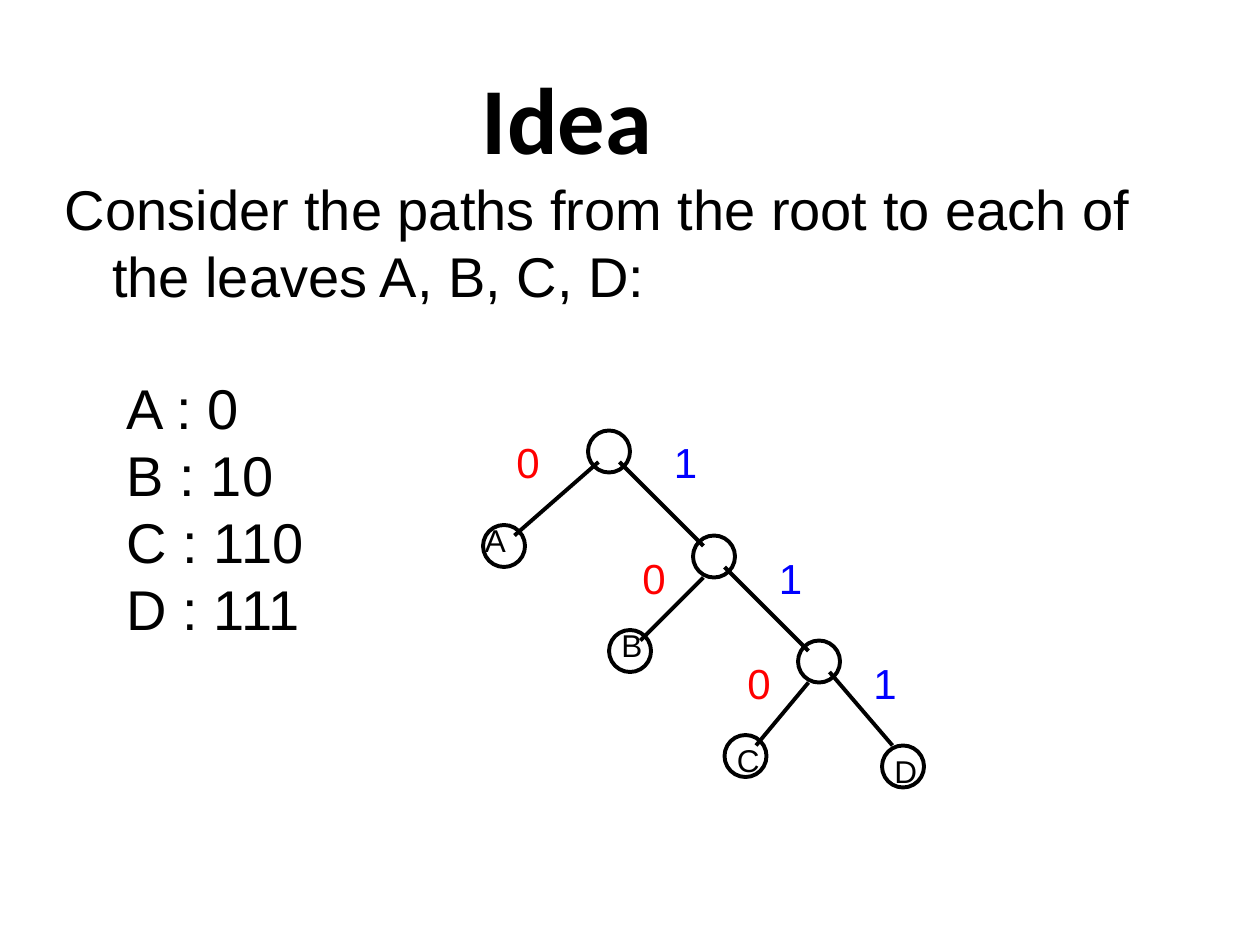
import pptx
import pptx.util
import pptx.dml.color
import pptx.enum.shapes
import pptx.enum.text
import pptx.oxml.ns
from lxml import etree

Pt = pptx.util.Pt
ALIGN = pptx.enum.text.PP_ALIGN
ANCHOR = pptx.enum.text.MSO_ANCHOR

# Content
TITLE = "Idea"
INTRO = "Consider the paths from the root to each of the leaves A, B, C, D:"
CODES = [("A", "0"), ("B", "10"), ("C", "110"), ("D", "111")]
BLACK, RED, BLUE = "000000", "FF0000", "0000FF"
BIT_COLOURS = {"0": RED, "1": BLUE}

# Tree: node centres, and the top left corner of each leaf's letter
NODES = {
    "root": (348, 258), "inner 1": (408, 318), "inner 2": (468, 378),
    "A": (288, 312), "B": (360, 372), "C": (426, 432), "D": (516, 438),
}
LETTERS = {"A": (270, 294), "B": (348, 354), "C": (414, 420), "D": (504, 426)}
# Parent, child, bit, bit's corner, drop below parent's centre, rise above child's
EDGES = [
    ("root", "A", "0", (288, 246), 6, 6),
    ("root", "inner 1", "1", (378, 246), 6, 6),
    ("inner 1", "B", "0", (360, 312), 12, 6),
    ("inner 1", "inner 2", "1", (438, 312), 6, 6),
    ("inner 2", "C", "0", (420, 372), 12, 6),
    ("inner 2", "D", "1", (492, 372), 6, 12),
]
DIAMETER, SIDE, LINE_WIDTH = 24, 6, 2.25
LINE_HEIGHT = 36.8


def colour(hex_text):
    return pptx.dml.color.RGBColor.from_string(hex_text)


def add_run(paragraph, text, size, hex_text=BLACK, font="Arial", bold=False):
    run = paragraph.add_run()
    run.text = text
    run.font.name, run.font.size, run.font.bold = font, Pt(size), bold
    run.font.color.rgb = colour(hex_text)


def add_box(left, top, width, height, wrap=True):
    frame = slide.shapes.add_textbox(Pt(left), Pt(top), Pt(width), Pt(height)).text_frame
    frame.word_wrap = wrap
    return frame


def style_line(shape):
    shape.line.color.rgb = colour(BLACK)
    shape.line.width = Pt(LINE_WIDTH)


deck = pptx.Presentation()
deck.slide_width, deck.slide_height = Pt(720), Pt(540)
slide = deck.slides.add_slide(deck.slide_layouts[5])

# Title
title = slide.shapes.title
title.left, title.top, title.width, title.height = Pt(0), Pt(21.6), Pt(648), Pt(90)
title.text_frame.vertical_anchor = ANCHOR.MIDDLE
heading = title.text_frame.paragraphs[0]
heading.alignment = ALIGN.CENTER
add_run(heading, TITLE, 54, font="Calibri", bold=True)

# Introduction and the code of each leaf
codes = add_box(30, 96, 666, 276)
intro = codes.paragraphs[0]
intro_props = intro._p.get_or_add_pPr()
intro_props.set("marL", str(Pt(27)))
intro_props.set("indent", str(-Pt(27)))
add_run(intro, INTRO, 32)
for row, (leaf, code) in enumerate(CODES):
    line = codes.add_paragraph()
    line._p.get_or_add_pPr().set("marL", str(Pt(35.5)))
    line.space_before = Pt(0 if row else LINE_HEIGHT)
    add_run(line, f"{leaf} : {code}", 32)

# Tree nodes
for x, y in NODES.values():
    node = slide.shapes.add_shape(
        pptx.enum.shapes.MSO_SHAPE.OVAL, Pt(x - DIAMETER / 2), Pt(y - DIAMETER / 2),
        Pt(DIAMETER), Pt(DIAMETER))
    node.shadow.inherit = False
    node.fill.background()
    style_line(node)

# Branches with their bits
for parent, child, bit, corner, drop, rise in EDGES:
    (x1, y1), (x2, y2) = NODES[parent], NODES[child]
    side = SIDE if x2 > x1 else -SIDE
    branch = slide.shapes.add_connector(
        pptx.enum.shapes.MSO_CONNECTOR.STRAIGHT,
        Pt(x1 + side), Pt(y1 + drop), Pt(x2 - side), Pt(y2 - rise))
    style_line(branch)
    etree.SubElement(branch._element.spPr, pptx.oxml.ns.qn("a:effectLst"))
    bit_label = add_box(*corner, 27.4, 36, wrap=False)
    add_run(bit_label.paragraphs[0], bit, 24, BIT_COLOURS[bit])

# Leaf letters
for leaf, corner in LETTERS.items():
    add_run(add_box(*corner, 26.6, 28.8).paragraphs[0], leaf, 18)

deck.save("out.pptx")
